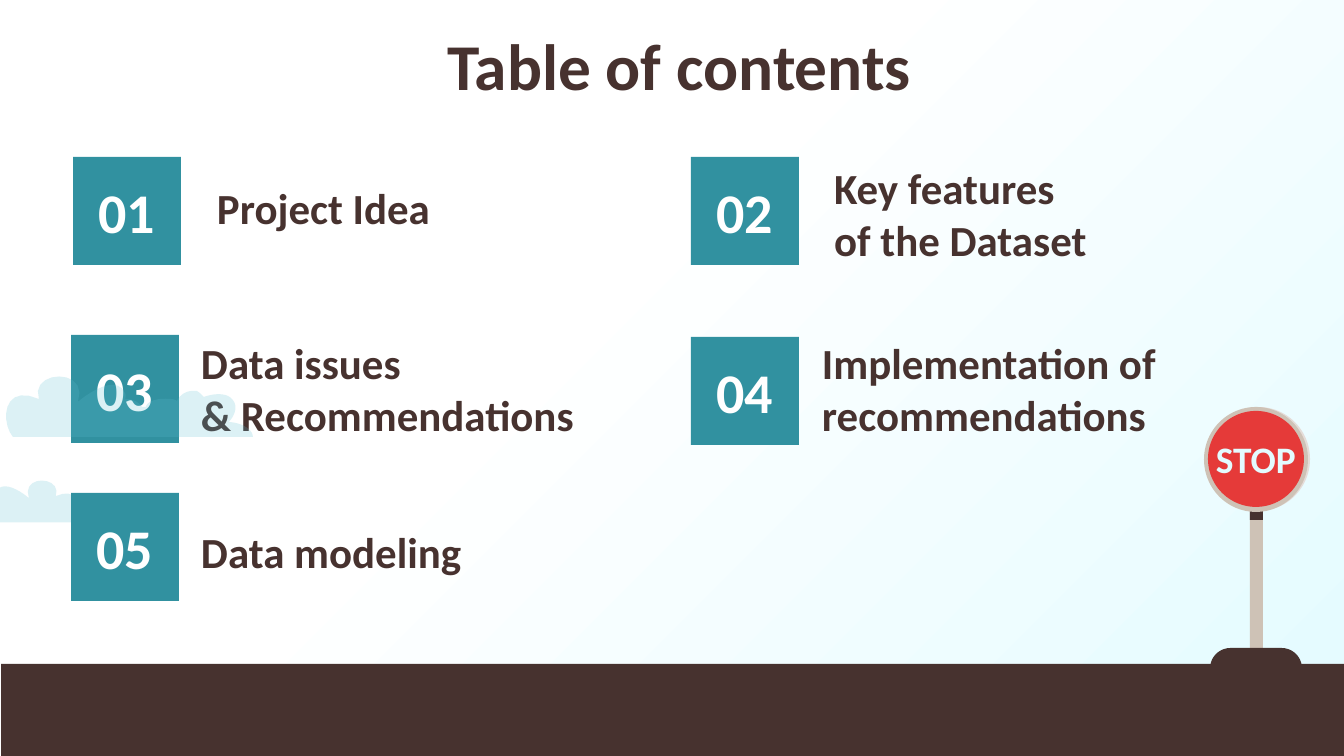
"""Build a table of contents slide with numbered cards and a stop sign."""
import pptx
import pptx.dml.color
import pptx.enum.shapes
import pptx.enum.text
import pptx.util
from lxml import etree

PX = 914400 / 134.4
SLIDE_SIZE = (1344, 756)
FONT = "Calibri"
COLORS = {
    "white": "FFFFFF", "sky": "E3FBFF", "brown": "47322F", "teal": "3191A0",
    "cloud": "5EBFD1", "post": "CEC2B6", "rim": "E5DDD9", "red": "E53A39",
}
STYLES = {
    "title": {"size": 35, "color": "brown", "align": "CENTER", "anchor": "TOP", "inset": 13},
    "number": {"size": 30, "color": "white", "align": "CENTER", "anchor": "MIDDLE", "inset": 13},
    "topic": {"size": 23, "color": "brown", "align": "LEFT", "anchor": "BOTTOM", "inset": 13},
    "sign": {"size": 20, "color": "sky", "align": "CENTER", "anchor": "MIDDLE", "inset": 0},
}
TITLE = ("Table of contents", (113, 12, 1133, 101))
CARD_SIZE = 108
CARDS = [
    ((73, 157), ["Project Idea"], (204, 180, 313, 66)),
    ((691, 157), ["Key features", "of the Dataset"], (821, 149, 391, 129)),
    ((71, 335), ["Data issues", "& Recommendations"], (188, 335, 474, 118)),
    ((691, 337), ["Implementation of recommendations"], (809, 335, 414, 118)),
    ((71, 493), ["Data modeling"], (188, 519, 414, 71)),
]
GROUND = (1, 664, 1343, 92)
POST_PARTS = [("post", (1250, 484, 13, 164)), ("brown", (1250, 511, 13, 9))]
SIGN_DISCS = [("rim", (1207, 407, 103, 104)), ("post", (1204, 407, 104, 105)),
              ("red", (1208, 411, 96, 96))]
SIGN_TEXT = "STOP"
BASE_START = (1231, 648)
BASE = [
    [(1219, 648), (1210, 657), (1210, 669)],
    [(1302, 669)],
    [(1302, 657), (1293, 648), (1281, 648)],
]
CLOUD_START = (252, 70)
CLOUD = [
    [(252, 63), (242, 56), (228, 55)],
    [(235, 47), (237, 38), (231, 32)],
    [(226, 26), (214, 26), (203, 30)],
    [(200, 27), (199, 26), (196, 24)],
    [(188, 23), (180, 26), (176, 34)],
    [(173, 32), (171, 32), (168, 32)],
    [(157, 31), (146, 34), (145, 40)],
    [(141, 40)],
    [(138, 35), (132, 32), (124, 32)],
    [(125, 31), (125, 27), (124, 26)],
    [(116, 7), (87, 26), (77, 35)],
    [(89, 0), (28, 3), (38, 32)],
    [(1, 16), (0, 56), (12, 70)],
]
CLOUD_ALPHA = 21
FAR_CLOUD = {"left": 82, "top": 474, "x_scale": -0.69, "y_scale": 0.69}
NEAR_CLOUD = {"left": 1, "top": 367, "x_scale": 1, "y_scale": 1}


def emu(length):
    return pptx.util.Emu(round(length * PX))


def rgb(name):
    return pptx.dml.color.RGBColor.from_string(COLORS[name])


def paint(shape, color, alpha=None):
    shape.shadow.inherit = False
    shape.fill.solid()
    shape.fill.fore_color.rgb = rgb(color)
    shape.line.fill.background()
    if alpha is not None:
        tint = shape.fill._xPr.find(".//" + pptx.oxml.ns.qn("a:srgbClr"))
        etree.SubElement(tint, pptx.oxml.ns.qn("a:alpha"), val=str(alpha * 1000))


def add_shape(page, kind, color, place):
    shape = page.shapes.add_shape(
        getattr(pptx.enum.shapes.MSO_SHAPE, kind), *map(emu, place))
    paint(shape, color)
    return shape


def write(shape, lines, style):
    form = STYLES[style]
    frame = shape.text_frame
    frame.word_wrap = style != "sign"
    frame.vertical_anchor = getattr(pptx.enum.text.MSO_ANCHOR, form["anchor"])
    for side in ("left", "top", "right", "bottom"):
        setattr(frame, "margin_" + side, emu(form["inset"]))
    frame.text = "\n".join(lines)
    for para in frame.paragraphs:
        para.alignment = getattr(pptx.enum.text.PP_ALIGN, form["align"])
        for span in para.runs:
            values = {"name": FONT, "size": pptx.util.Pt(form["size"]), "bold": True}
            for name, value in values.items():
                setattr(span.font, name, value)
            span.font.color.rgb = rgb(form["color"])


def add_text(page, lines, style, place):
    write(page.shapes.add_textbox(*map(emu, place)), lines, style)


def trace(start, segments, steps=10):
    points = [start]
    for segment in segments:
        if len(segment) == 1:
            points += segment
            continue
        curve = [points[-1], *segment]
        for step in range(1, steps + 1):
            t = step / steps
            weights = ((1 - t) ** 3, 3 * t * (1 - t) ** 2, 3 * t ** 2 * (1 - t), t ** 3)
            points.append(tuple(sum(w * point[axis] for w, point in zip(weights, curve))
                                for axis in (0, 1)))
    return points


def add_outline(page, points, color, alpha=None):
    corners = [(emu(x), emu(y)) for x, y in points]
    builder = page.shapes.build_freeform(*corners[0])
    builder.add_line_segments(corners[1:], close=True)
    paint(builder.convert_to_shape(), color, alpha)


def add_cloud(page, left, top, x_scale, y_scale):
    points = [(left + x * x_scale, top + y * y_scale) for x, y in trace(CLOUD_START, CLOUD)]
    add_outline(page, points, "cloud", CLOUD_ALPHA)


def add_background(page):
    fill = page.background.fill
    fill.gradient()
    fill.gradient_angle = 315
    for stop, (position, color) in zip(fill.gradient_stops, [(0.41, "white"), (1, "sky")]):
        stop.position = position
        stop.color.rgb = rgb(color)


def add_sign(page):
    for color, place in POST_PARTS:
        add_shape(page, "RECTANGLE", color, place)
    add_outline(page, trace(BASE_START, BASE), "brown")
    for color, place in SIGN_DISCS:
        disc = add_shape(page, "OVAL", color, place)
    write(disc, [SIGN_TEXT], "sign")


def main():
    deck = pptx.Presentation()
    deck.slide_width, deck.slide_height = map(emu, SLIDE_SIZE)
    page = deck.slides.add_slide(deck.slide_layouts[6])
    add_background(page)
    add_cloud(page, **FAR_CLOUD)
    add_shape(page, "RECTANGLE", "brown", GROUND)
    add_sign(page)
    title, place = TITLE
    add_text(page, [title], "title", place)
    for number, (corner, lines, place) in enumerate(CARDS, 1):
        card = add_shape(page, "RECTANGLE", "teal", (*corner, CARD_SIZE, CARD_SIZE))
        write(card, [f"{number:02}"], "number")
        add_text(page, lines, "topic", place)
    add_cloud(page, **NEAR_CLOUD)
    deck.save("out.pptx")


if __name__ == "__main__":
    main()
